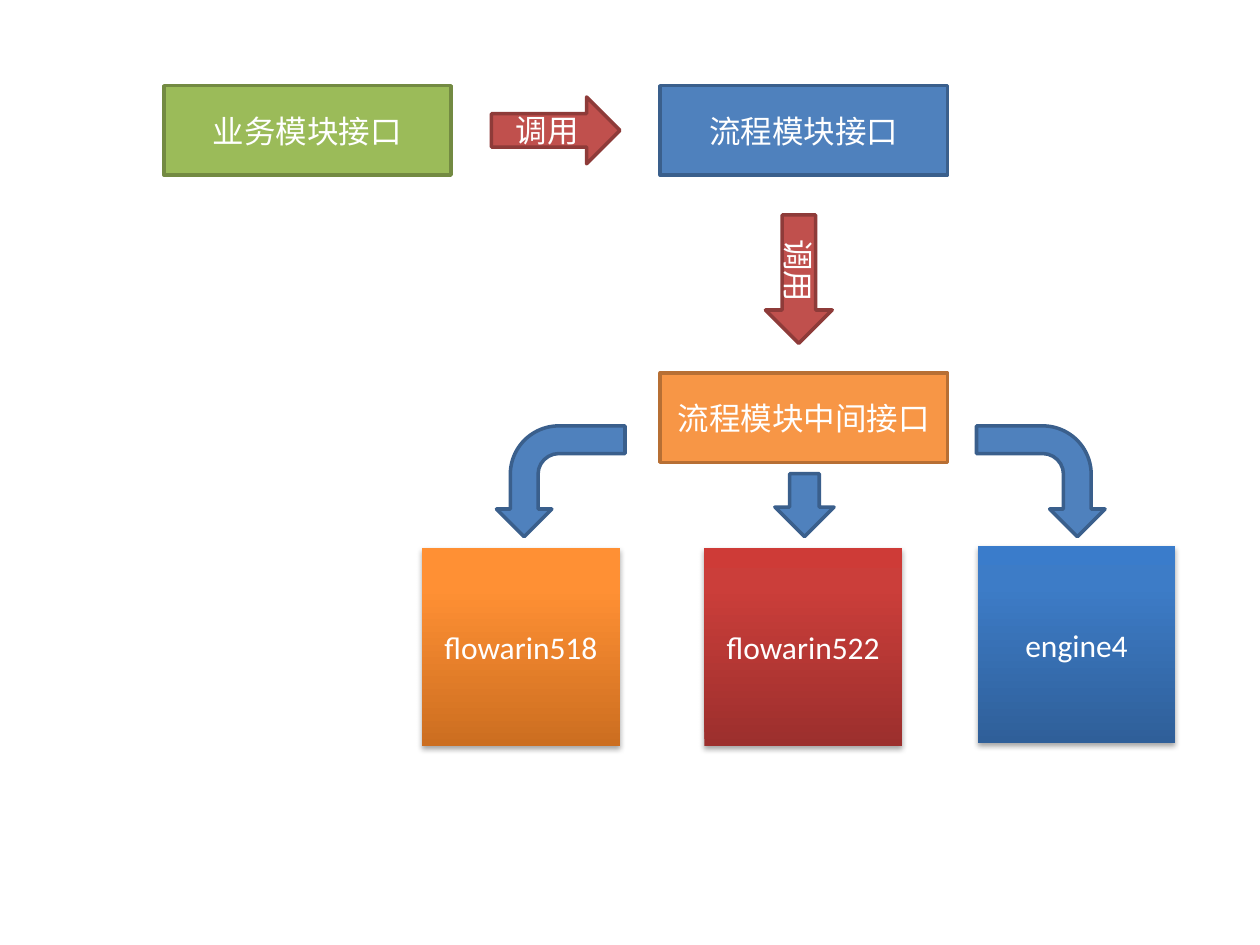
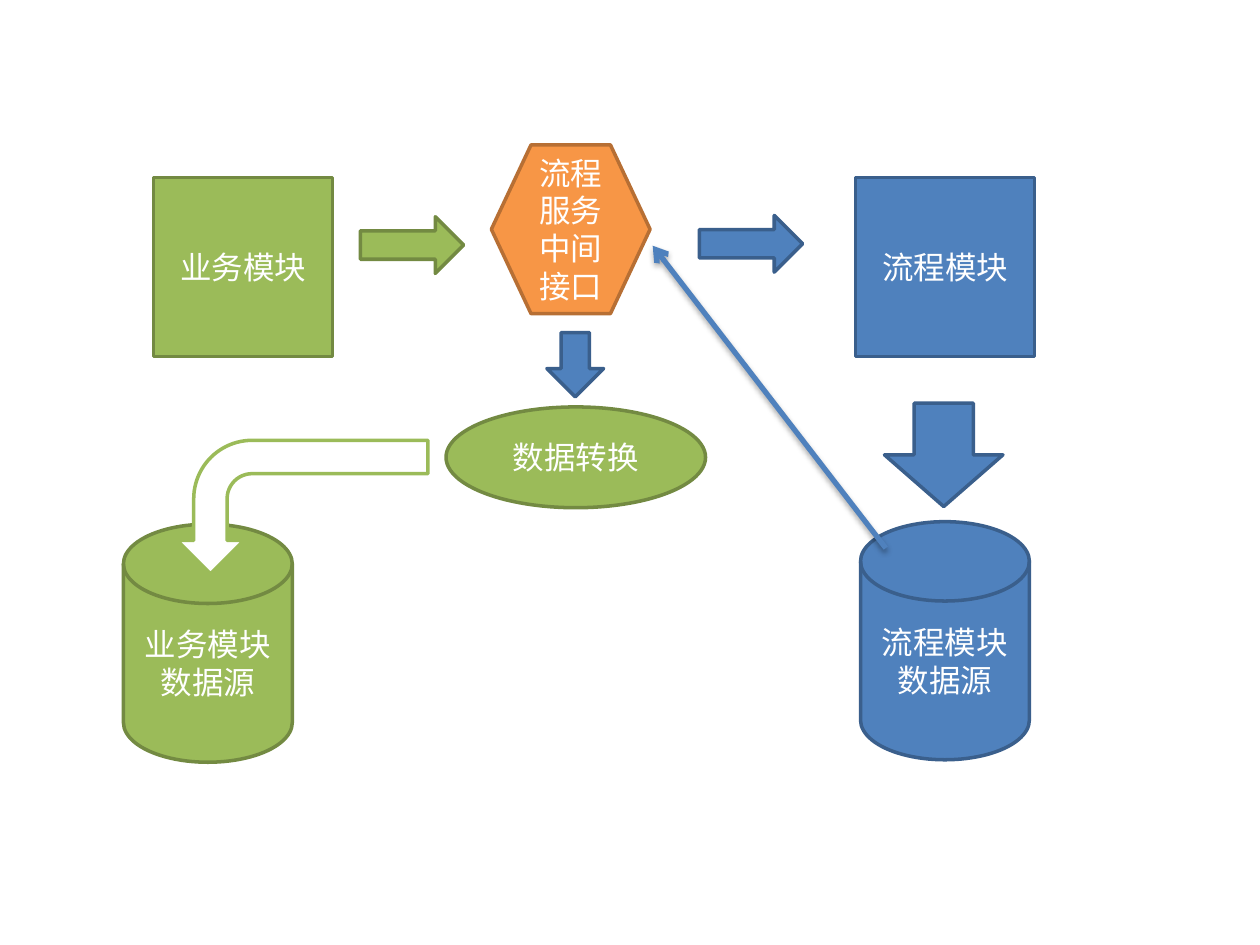
from copy import deepcopy

from lxml.etree import SubElement
from pptx import Presentation
from pptx.dml.color import RGBColor
from pptx.enum.shapes import MSO_CONNECTOR, MSO_SHAPE
from pptx.enum.text import MSO_ANCHOR, PP_ALIGN
from pptx.oxml import parse_xml
from pptx.oxml.ns import nsdecls, qn
from pptx.util import Inches, Pt

WHITE = RGBColor(0xFF, 0xFF, 0xFF)
GREEN = RGBColor(0x9B, 0xBB, 0x59)
BLUE = RGBColor(0x4F, 0x81, 0xBD)
ORANGE = RGBColor(0xF7, 0x96, 0x46)
RED = RGBColor(0xC0, 0x50, 0x4D)
OUTLINES = {
    GREEN: RGBColor(0x73, 0x8A, 0x42),
    BLUE: RGBColor(0x3A, 0x5F, 0x8C),
    ORANGE: RGBColor(0xB7, 0x6F, 0x34),
    RED: RGBColor(0x8E, 0x3B, 0x39),
    WHITE: GREEN,
}
# Gradients run from the bottom edge to the top edge
ORANGE_SHADES = [RGBColor(0xCC, 0x6E, 0x20), RGBColor(0xFF, 0x90, 0x34), RGBColor(0xFF, 0x91, 0x36)]
RED_SHADES = [RGBColor(0x9C, 0x2F, 0x2D), RGBColor(0xCB, 0x3E, 0x3A), RGBColor(0xCE, 0x3B, 0x37)]
BLUE_SHADES = [RGBColor(0x2F, 0x5F, 0x99), RGBColor(0x3D, 0x7C, 0xC7), RGBColor(0x3A, 0x7C, 0xCB)]
SHADE_POSITIONS = [0, 0.8, 1]

SOFT_SHADOW = parse_xml(
    f'<a:outerShdw {nsdecls("a")} blurRad="40000" dist="23000" dir="5400000" rotWithShape="0">'
    '<a:srgbClr val="000000"><a:alpha val="35000"/></a:srgbClr></a:outerShdw>'
)

presentation = Presentation()
presentation.slide_width = Inches(10)
presentation.slide_height = Inches(7.5)
CELL = presentation.slide_width / 100  # the grid has 100 columns and 75 rows


def write_text(shape, text, size=18, font="Calibri", color=WHITE):
    frame = shape.text_frame
    frame.word_wrap = True
    frame.vertical_anchor = MSO_ANCHOR.MIDDLE
    paragraph = frame.paragraphs[0]
    paragraph.alignment = PP_ALIGN.CENTER
    run = paragraph.add_run()
    run.text = text
    run.font.size = Pt(size)
    run.font.name = font
    run.font.color.rgb = color


def add_block(slide, kind, box, color, text="", rotation=0, flipped=False):
    """Add an outlined shape; box is left, top, width, height in grid cells."""
    shape = slide.shapes.add_shape(kind, *(round(cells * CELL) for cells in box))
    shape.shadow.inherit = False
    shape.fill.solid()
    shape.fill.fore_color.rgb = color
    shape.line.color.rgb = OUTLINES[color]
    shape.line.width = Pt(2)
    shape.rotation = rotation
    if flipped:
        shape.element.spPr.xfrm.set("flipH", "1")
    if text:
        write_text(shape, text)
    return shape


blank_layout = presentation.slide_layouts[6]

# Slide 1: calls between the interfaces
slide = presentation.slides.add_slide(blank_layout)
for left, top, color, text in [
    (13, 6.8, GREEN, "业务模块接口"),
    (52.4, 29.6, ORANGE, "流程模块中间接口"),
    (52.4, 6.8, BLUE, "流程模块接口"),
]:
    add_block(slide, MSO_SHAPE.RECTANGLE, (left, top, 22.8, 7.1), color, text)

for left, top, rotation in [(39, 7.7, 0), (58.3, 19.5, 90)]:
    add_block(slide, MSO_SHAPE.RIGHT_ARROW, (left, top, 10.2, 5.3), RED, "调用", rotation)

for left, top, shades, text in [
    (33.5, 43.5, ORANGE_SHADES, "flowarin518"),
    (55.9, 43.5, RED_SHADES, "flowarin522"),
    (77.6, 43.3, BLUE_SHADES, "engine4"),
]:
    engine = add_block(slide, MSO_SHAPE.RECTANGLE, (left, top, 15.7, 15.7), BLUE, text)
    engine.line.fill.background()
    engine.fill.gradient()
    engine.fill.gradient_angle = 90
    properties = engine.element.spPr
    stop_list = properties.find(".//" + qn("a:gsLst"))
    stop_list.append(deepcopy(stop_list[-1]))
    for stop, position, shade in zip(engine.fill.gradient_stops, SHADE_POSITIONS, shades):
        stop.position = position
        stop.color.rgb = shade
    properties.find(qn("a:effectLst")).append(deepcopy(SOFT_SHADOW))

for left, rotation, flipped in [(78.2, 90, False), (40.1, 270, True)]:
    add_block(slide, MSO_SHAPE.BENT_ARROW, (left, 33.1, 8.8, 10.2), BLUE,
              rotation=rotation, flipped=flipped)
add_block(slide, MSO_SHAPE.DOWN_ARROW, (61.5, 37.6, 4.7, 5), BLUE)

# Slide 2: data flow between the modules
slide = presentation.slides.add_slide(blank_layout)
for module_left, disk_left, disk_top, color, name in [
    (12.2, 9.8, 41.6, GREEN, "业务模块"),
    (67.9, 68.3, 41.4, BLUE, "流程模块"),
]:
    add_block(slide, MSO_SHAPE.RECTANGLE, (module_left, 14.1, 14.2, 14.2), color, name)
    add_block(slide, MSO_SHAPE.FLOWCHART_MAGNETIC_DISK, (disk_left, disk_top, 13.4, 18.9),
              color, name + "数据源")

add_block(slide, MSO_SHAPE.HEXAGON, (39, 11.5, 12.6, 13.4), ORANGE, "流程服务中间接口")
add_block(slide, MSO_SHAPE.OVAL, (35.4, 32.3, 20.6, 8), GREEN, "数据转换")

for box, color, rotation in [
    ((28.6, 17.2, 8.2, 4.5), GREEN, 0),
    ((55.5, 17.1, 8.2, 4.5), BLUE, 0),
    ((70.8, 31.4, 8.2, 9.4), BLUE, 90),
    ((43.1, 26.7, 5.1, 4.5), BLUE, 90),
]:
    add_block(slide, MSO_SHAPE.RIGHT_ARROW, box, color, rotation=rotation)

return_ends = [round(cells * CELL) for cells in (70.3, 43.5, 51.8, 19.5)]
return_arrow = slide.shapes.add_connector(MSO_CONNECTOR.STRAIGHT, *return_ends)
return_arrow.line.color.rgb = BLUE
return_arrow.line.width = Pt(3)
properties = return_arrow.element.spPr
SubElement(properties.find(qn("a:ln")), qn("a:tailEnd"), type="arrow")
SubElement(properties, qn("a:effectLst")).append(deepcopy(SOFT_SHADOW))

add_block(slide, MSO_SHAPE.BENT_ARROW, (18.7, 30.3, 10.6, 19.9), WHITE,
          rotation=270, flipped=True)

presentation.save("out.pptx")
